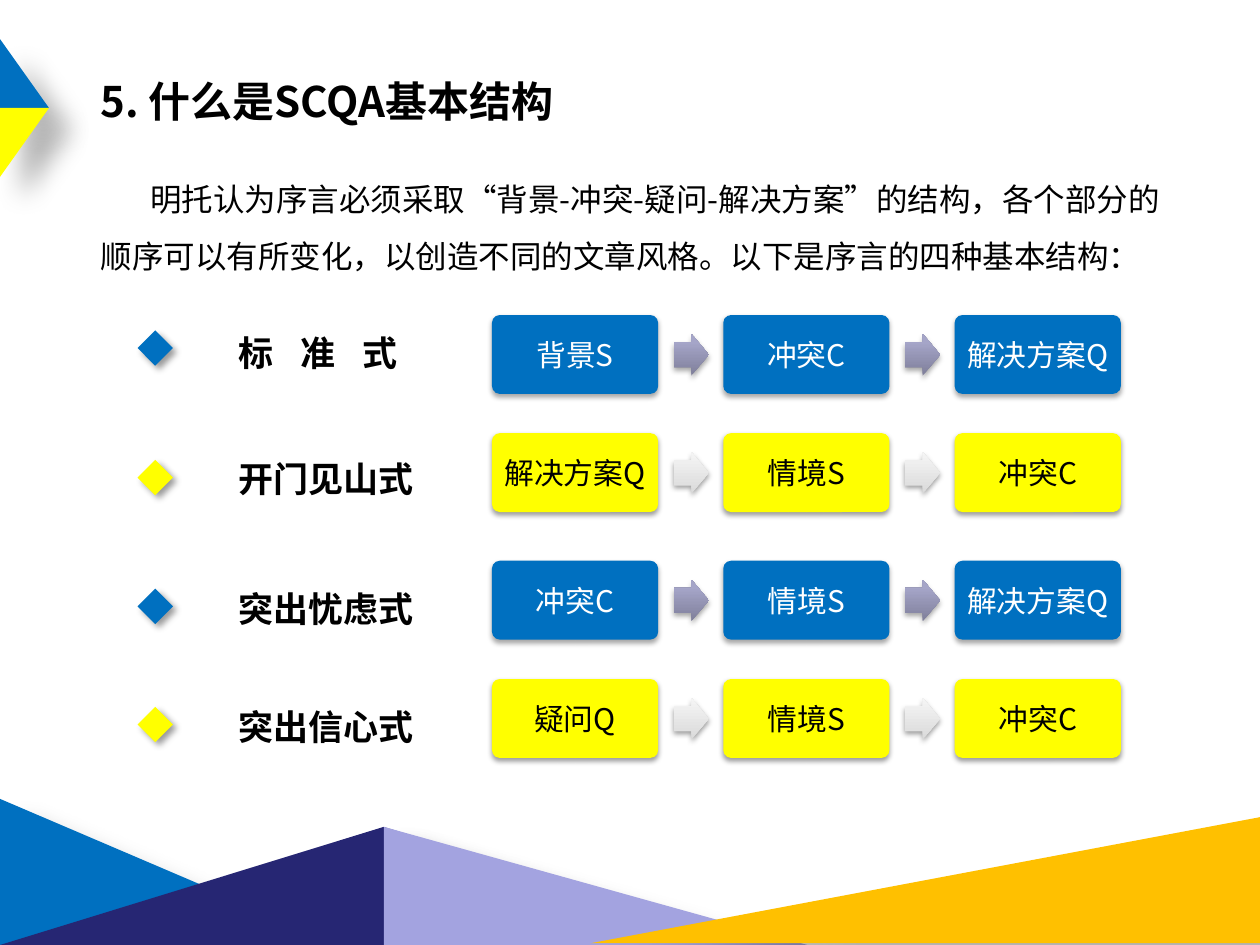
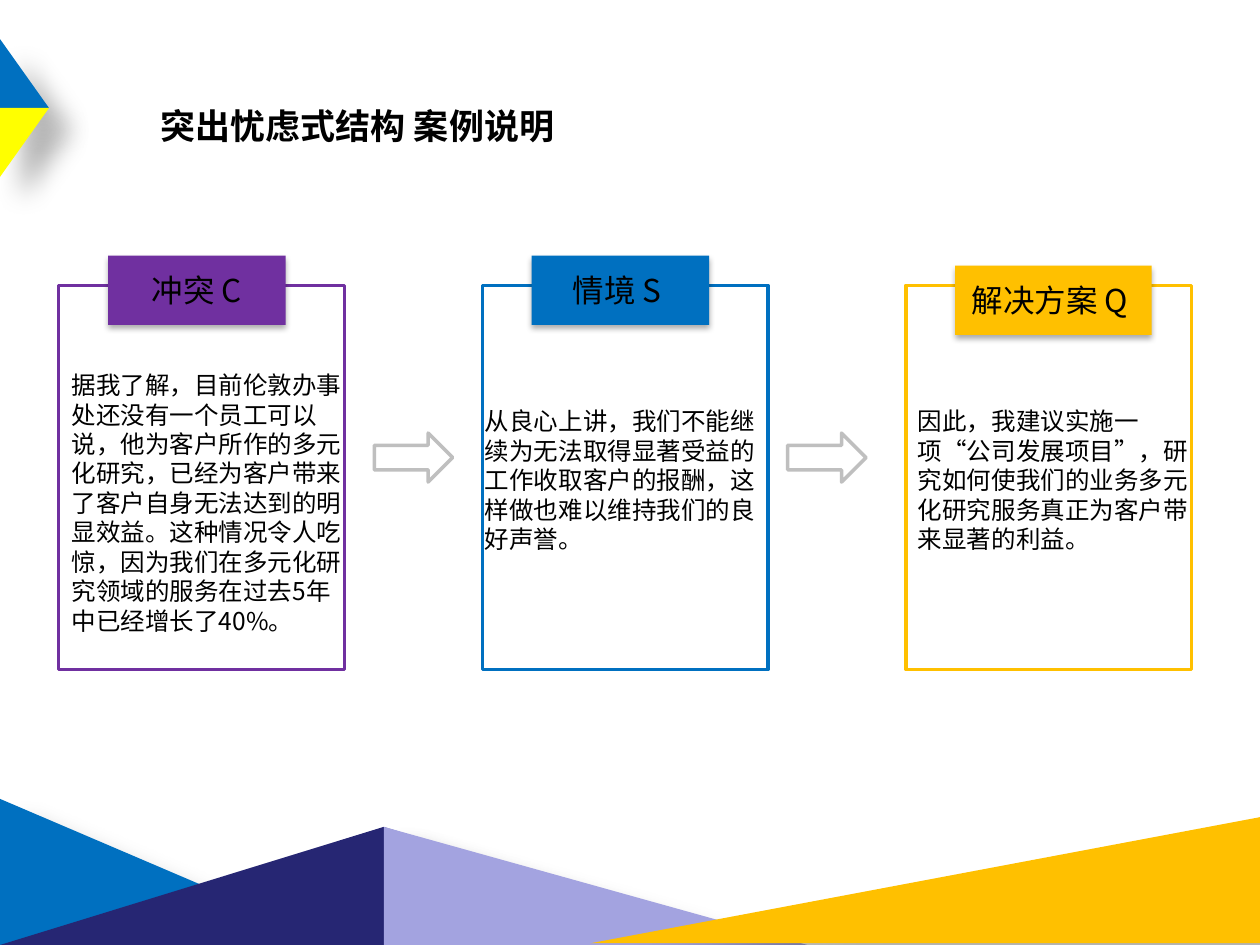
"""Build two slides on the SCQA structure of an introduction."""
from lxml.etree import SubElement
from pptx import Presentation
from pptx.dml.color import RGBColor
from pptx.enum.shapes import MSO_SHAPE
from pptx.enum.text import MSO_ANCHOR, MSO_AUTO_SIZE, PP_ALIGN
from pptx.oxml.ns import qn
from pptx.util import Pt

BLUE = RGBColor(0x00, 0x70, 0xC0)
YELLOW = RGBColor(0xFF, 0xFF, 0x00)
NAVY = RGBColor(0x26, 0x26, 0x73)
LILAC = RGBColor(0xA3, 0xA3, 0xE0)
AMBER = RGBColor(0xFF, 0xC0, 0x00)
PURPLE = RGBColor(0x70, 0x30, 0xA0)
GREY = RGBColor(0xBF, 0xBF, 0xBF)
BLACK = RGBColor(0x00, 0x00, 0x00)
WHITE = RGBColor(0xFF, 0xFF, 0xFF)
DUSK = (RGBColor(0x7F, 0x7F, 0x9A), RGBColor(0xA5, 0xA5, 0xC8), 0.8)
SILVER = (RGBColor(0xDA, 0xDA, 0xDA), RGBColor(0xF5, 0xF5, 0xF5), 1)

CHINESE_FONT = "Noto Sans CJK SC"
LATIN_FONT = "Arial"

BAND_SHADOW = (30, 15, 18, 45)
DIAMOND_SHADOW = (40, 4, 3, 45)
TAG_SHADOW = (32, 3.5, 2.2, 90)
BLUE_SHADOW = (35, 3.1, 1.8, 90)
YELLOW_SHADOW = (38, 3.1, 1.6, 90)

BLUE_ROW = (BLUE, WHITE, DUSK, BLUE_SHADOW)
YELLOW_ROW = (YELLOW, BLACK, SILVER, YELLOW_SHADOW)

INTRODUCTION = (
    "明托认为序言必须采取“背景-冲突-疑问-解决方案”的结构，各个部分的顺序可以有所变化，"
    "以创造不同的文章风格。以下是序言的四种基本结构："
)
STRUCTURES = [
    ("标 准 式", ("背景S", "冲突C", "解决方案Q"), 180, 188.8, 185.8, BLUE_ROW),
    ("开门见山式", ("解决方案Q", "情境S", "冲突C"), 247.5, 262.8, 257.8, YELLOW_ROW),
    ("突出忧虑式", ("冲突C", "情境S", "解决方案Q"), 320.4, 336.4, 331.9, BLUE_ROW),
    ("突出信心式", ("疑问Q", "情境S", "冲突C"), 388, 403.9, 399.6, YELLOW_ROW),
]
CASE_PARTS = [
    ("冲突 C", PURPLE, (146, 101.5), (33.8, 208), CHINESE_FONT,
     "据我了解，目前伦敦办事处还没有一个员工可以说，他为客户所作的多元化研究，"
     "已经为客户带来了客户自身无法达到的明显效益。这种情况令人吃惊，"
     "因为我们在多元化研究领域的服务在过去5年中已经增长了40%。"),
    ("情境 S ", BLUE, (146, 101.5), (270, 228.7), CHINESE_FONT,
     "从良心上讲，我们不能继续为无法取得显著受益的工作收取客户的报酬，"
     "这样做也难以维持我们的良好声誉。"),
    ("解决方案 Q ", AMBER, (151.8, 112.3), (517.4, 228.7), LATIN_FONT,
     "因此，我建议实施一项“公司发展项目”，研究如何使我们的业务多元化研究服务真正为客户带来显著的利益。"),
]


def points(*lengths):
    """Turn plain numbers into lengths in points."""
    return [Pt(length) for length in lengths]


def write(shape, text, size, color=BLACK, font=CHINESE_FONT, bold=False, align=PP_ALIGN.LEFT):
    """Put one formatted paragraph in a shape and return it."""
    frame = shape.text_frame
    frame.text = text
    frame.word_wrap = True
    para = frame.paragraphs[0]
    para.alignment = align
    span = para.runs[0]
    span.font.name = font
    span.font.size = Pt(size)
    span.font.bold = bold
    span.font.color.rgb = color
    east_asian = SubElement(span.font._element, qn("a:ea"))
    east_asian.set("typeface", CHINESE_FONT)
    return para


def add_text(slide, place, text, size, **style):
    """Add a wrapping text box and return its paragraph."""
    return write(slide.shapes.add_textbox(*points(*place)), text, size, **style)


def add_title(slide, place, text, size, font):
    """Move and format the title placeholder."""
    title = slide.shapes.title
    title.left, title.top, title.width, title.height = points(*place)
    write(title, text, size, font=font, bold=True)
    title.text_frame.auto_size = MSO_AUTO_SIZE.NONE
    title.text_frame.vertical_anchor = MSO_ANCHOR.TOP


def add_shadow(shape, opacity, blur, distance, direction):
    """Give a shape a soft black shadow, with opacity in percent and direction in degrees."""
    effects = shape._element.spPr.find(qn("a:effectLst"))
    shadow = SubElement(effects, qn("a:outerShdw"))
    for name, value in (("blurRad", Pt(blur)), ("dist", Pt(distance)),
                        ("dir", direction * 60000), ("algn", "ctr"), ("rotWithShape", 0)):
        shadow.set(name, str(value))
    color = SubElement(shadow, qn("a:srgbClr"))
    color.set("val", str(BLACK))
    SubElement(color, qn("a:alpha")).set("val", str(opacity * 1000))


def add_solid(slide, kind, place, color, shadow, rotation=0):
    """Add a filled shape without outline."""
    shape = slide.shapes.add_shape(kind, *points(*place))
    shape.rotation = rotation
    shape.fill.solid()
    shape.fill.fore_color.rgb = color
    shape.line.fill.background()
    shape.shadow.inherit = False
    add_shadow(shape, *shadow)
    return shape


def add_outline(slide, kind, place, color):
    """Add an unfilled shape with a two-point outline."""
    shape = slide.shapes.add_shape(kind, *points(*place))
    shape.fill.background()
    shape.line.color.rgb = color
    shape.line.width = Pt(2)
    shape.shadow.inherit = False


def add_backdrop(slide):
    """Add the triangles at the foot and left edge of a slide."""
    peak, corner = MSO_SHAPE.ISOSCELES_TRIANGLE, MSO_SHAPE.RIGHT_TRIANGLE
    bands = [
        (peak, (8.9, 447.5, 105.8, 123.8), BLUE, 90),
        (peak, (0, 472.5, 438.5, 67.5), NAVY, 0),
        (corner, (219.4, 472.5, 242, 67.5), LILAC, 0),
        (corner, (492.8, 311.8, 72, 382.3), AMBER, 270),
        (corner, (0, 22.3, 28, 39.4), BLUE, 0),
        (corner, (0, 61.7, 28, 39.4), YELLOW, 180),
    ]
    for kind, place, color, rotation in bands:
        band = add_solid(slide, kind, place, color, BAND_SHADOW, rotation)
    band._element.spPr.find(qn("a:xfrm")).set("flipH", "1")


def add_step(slide, left, top, text, fill, color, shadow):
    """Add a rounded box naming one step."""
    box = add_solid(slide, MSO_SHAPE.ROUNDED_RECTANGLE, (left, top, 95, 45.1), fill, shadow)
    box.adjustments[0] = 0.1
    write(box, text, 17, color, align=PP_ALIGN.CENTER)
    frame = box.text_frame
    frame.margin_left = frame.margin_right = Pt(5.5)
    frame.margin_top = frame.margin_bottom = Pt(5)
    frame.vertical_anchor = MSO_ANCHOR.MIDDLE


def add_step_arrow(slide, left, top, gradient, shadow):
    """Add a shaded arrow between two steps."""
    dark, light, light_position = gradient
    arrow = add_solid(slide, MSO_SHAPE.RIGHT_ARROW, (left, top, 20, 23.8), dark, shadow)
    arrow.adjustments[0] = 0.6
    arrow.fill.gradient()
    arrow.fill.gradient_angle = 90
    first, last = arrow.fill.gradient_stops
    first.color.rgb, last.color.rgb = dark, light
    first.position, last.position = 0, light_position


def add_structure(slide, label, steps, top, diamond_top, label_top, look):
    """Add one row: diamond, label and three linked steps."""
    fill, color, gradient, shadow = look
    add_solid(slide, MSO_SHAPE.DIAMOND, (78.6, diamond_top, 20.2, 20.2), fill, DIAMOND_SHADOW)
    para = add_text(slide, (129.2, label_top, 130, 31.7), label, 20, font=LATIN_FONT, bold=True)
    if " " in label:
        para.runs[0].font._element.set("spc", "550")
    for index, step in enumerate(steps):
        left = 281.1 + 132.2 * index
        if index:
            add_step_arrow(slide, left - 28.2, top + 10.8, gradient, shadow)
        add_step(slide, left, top, step, fill, color, shadow)


def add_case_part(slide, index, name, color, tag_size, body_corner, font, body):
    """Add one framed part of the case with its tag and body."""
    left = 33.6 + 242 * index
    tag_top, tag_width = tag_size
    add_outline(slide, MSO_SHAPE.RECTANGLE, (left, 163.2, 163.4, 219.4), color)
    tag = add_solid(slide, MSO_SHAPE.RECTANGLE, (left + 28.2, tag_top, tag_width, 39.6),
                    color, TAG_SHADOW)
    write(tag, name, 18, align=PP_ALIGN.CENTER)
    tag.text_frame.vertical_anchor = MSO_ANCHOR.MIDDLE
    para = add_text(slide, (*body_corner, 174.2, 92), body, 14, font=font)
    para._p.get_or_add_pPr().set("hangingPunct", "0")


def build_structures(slide):
    """Fill the slide on the four basic structures."""
    add_backdrop(slide)
    add_title(slide, (50.4, 39.4, 281.5, 36.7), "5. 什么是SCQA基本结构", 24, CHINESE_FONT)
    para = add_text(slide, (50.4, 88.6, 630, 69), INTRODUCTION, 18)
    para.line_spacing = 1.5
    para._p.get_or_add_pPr().set("indent", str(Pt(28.4)))
    for structure in STRUCTURES:
        add_structure(slide, *structure)


def build_case(slide):
    """Fill the slide with the worked case."""
    add_backdrop(slide)
    add_title(slide, (84.6, 56.2, 290, 31.7), "突出忧虑式结构 案例说明", 20, LATIN_FONT)
    for index, part in enumerate(CASE_PARTS):
        add_case_part(slide, index, *part)
    for index in range(len(CASE_PARTS) - 1):
        add_outline(slide, MSO_SHAPE.RIGHT_ARROW, (213.9 + 236.2 * index, 247.5, 44.8, 28), GREY)


def main():
    """Build and save the deck."""
    deck = Presentation()
    deck.slide_width, deck.slide_height = points(720, 540)
    for build in (build_structures, build_case):
        build(deck.slides.add_slide(deck.slide_layouts[5]))
    deck.save("out.pptx")


if __name__ == "__main__":
    main()
